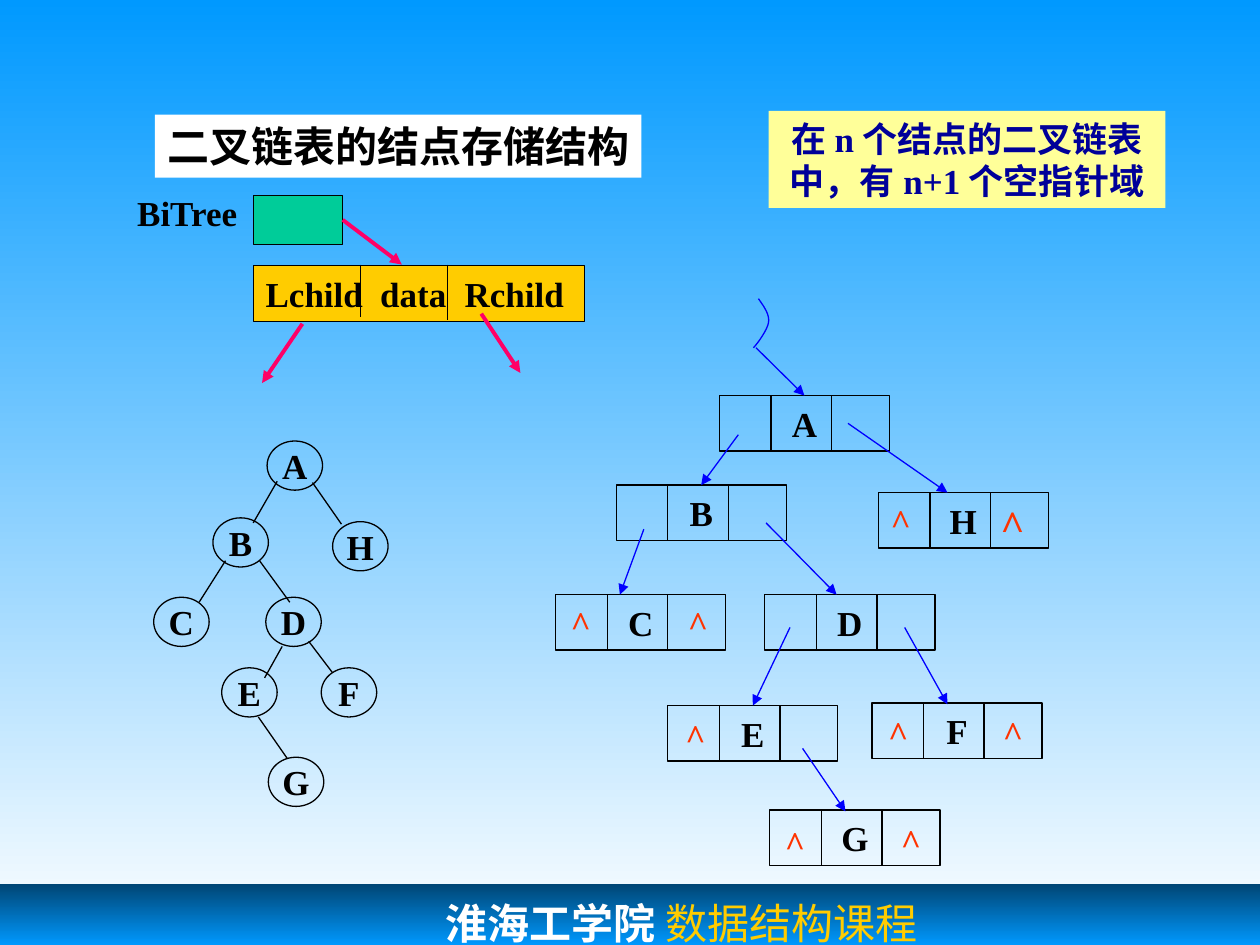
from copy import deepcopy
from dataclasses import dataclass

from lxml import etree
from pptx import Presentation
from pptx.dml.color import RGBColor
from pptx.enum.shapes import MSO_CONNECTOR, MSO_SHAPE
from pptx.enum.text import MSO_ANCHOR, MSO_AUTO_SIZE, PP_ALIGN
from pptx.oxml.ns import qn
from pptx.util import Inches, Pt

RECT, OVAL = MSO_SHAPE.RECTANGLE, MSO_SHAPE.OVAL
STRAIGHT = MSO_CONNECTOR.STRAIGHT
LEFT, CENTER = PP_ALIGN.LEFT, PP_ALIGN.CENTER
TOP, MIDDLE = MSO_ANCHOR.TOP, MSO_ANCHOR.MIDDLE
NO_FIT = MSO_AUTO_SIZE.NONE
FONT = "Times New Roman"
MONO = "DejaVu Sans Mono"
COLORS = {
    "sky": "0099FF", "white": "FFFFFF", "deep": "004675", "gold": "FFCC00",
    "black": "000000", "navy": "000099", "cream": "FFFF99", "blue": "0000FF",
    "red": "FF3300", "pink": "FF0066", "green": "00CC99",
}

deck = Presentation()
deck.slide_width, deck.slide_height = Inches(10), Inches(7.5)
COLUMN = deck.slide_width / 100
ROW = deck.slide_height / 75
page = deck.slides.add_slide(deck.slide_layouts[5])


@dataclass(frozen=True)
class Area:
    col: float
    row: float
    cols: float
    rows: float

    def emu(self) -> tuple:
        return (round(self.col * COLUMN), round(self.row * ROW),
                round(self.cols * COLUMN), round(self.rows * ROW))


@dataclass(frozen=True)
class Link:
    col: float
    row: float
    end_col: float
    end_row: float
    target: str = ""


@dataclass(frozen=True)
class Mark:
    name: str
    col: float
    row: float


@dataclass(frozen=True)
class Span:
    text: str
    color: str = "black"
    size: float = 20
    bold: bool = True
    font: str = FONT


def rgb(name: str) -> RGBColor:
    return RGBColor.from_string(COLORS[name])


def paint_gradient(fill, element, names: list[str]) -> None:
    fill.gradient()
    fill.gradient_angle = 270
    stop_list = next(element.iter(qn("a:gsLst")))
    while len(stop_list) < len(names):
        stop_list.append(deepcopy(stop_list[0]))
    for index, (stop, name) in enumerate(zip(fill.gradient_stops, names)):
        stop.color.rgb = rgb(name)
        stop.position = index / (len(names) - 1)


def write(box, spans: list[Span], align=CENTER, anchor=MIDDLE, wrap: bool = False):
    frame = box.text_frame
    frame.word_wrap = wrap
    frame.auto_size = NO_FIT
    frame.vertical_anchor = anchor
    para = frame.paragraphs[0]
    para.alignment = align
    for span in spans:
        run = para.add_run()
        run.text = span.text
        run.font.name, run.font.size, run.font.bold = span.font, Pt(span.size), span.bold
        run.font.color.rgb = rgb(span.color)
    return para


def draw_shape(kind, area: Area, fill: str = "", outline: str = "black"):
    shape = page.shapes.add_shape(kind, *area.emu())
    shape.shadow.inherit = False
    if fill:
        shape.fill.solid()
        shape.fill.fore_color.rgb = rgb(fill)
    else:
        shape.fill.background()
    if outline:
        shape.line.color.rgb = rgb(outline)
        shape.line.width = Pt(0.75)
    else:
        shape.line.fill.background()
    return shape


def draw_link(link: Link, color: str = "black", width: float = 0.75, arrow: bool = False):
    line = page.shapes.add_connector(
        STRAIGHT, round(link.col * COLUMN), round(link.row * ROW),
        round(link.end_col * COLUMN), round(link.end_row * ROW))
    line.line.color.rgb = rgb(color)
    line.line.width = Pt(width)
    if arrow:
        etree.SubElement(line.line._get_or_add_ln(), qn("a:tailEnd"), type="triangle")
    etree.SubElement(line._element.spPr, qn("a:effectLst"))
    return line


def draw_text(area: Area, span: Span, align=CENTER, anchor=MIDDLE) -> None:
    write(page.shapes.add_textbox(*area.emu()), [span], align, anchor)


def draw_record(mark: Mark):
    box = draw_shape(RECT, Area(mark.col, mark.row, 13.5, 4.4))
    write(box, [Span(mark.name)])
    for offset in (4.1, 8.9):
        col = mark.col + offset
        draw_link(Link(col, mark.row, col, mark.row + 4.4))
    return box


def draw_curve(points: list[tuple], steps: int = 12) -> None:
    path = [points[0]]
    for first in range(0, len(points) - 1, 3):
        a, b, c, d = points[first:first + 4]
        for step in range(1, steps + 1):
            t = step / steps
            u = 1 - t
            path.append(tuple(u**3 * a[i] + 3 * u * u * t * b[i]
                              + 3 * u * t * t * c[i] + t**3 * d[i] for i in (0, 1)))
    spots = [(round(x * COLUMN), round(y * ROW)) for x, y in path]
    builder = page.shapes.build_freeform(*spots[0])
    builder.add_line_segments(spots[1:], close=False)
    curve = builder.convert_to_shape()
    curve.shadow.inherit = False
    curve.fill.background()
    curve.line.color.rgb = rgb("blue")
    curve.line.width = Pt(0.75)


paint_gradient(page.background.fill, page._element, ["sky", "white"])
footer = draw_shape(RECT, Area(0, 70.2, 100, 9.7), outline="")
paint_gradient(footer.fill, footer._element, ["deep", "sky", "deep"])
footer_para = write(footer, [Span("淮海工学院", "white", 24, font=MONO),
                             Span(" 数据结构课程", "gold", 24, False)], LEFT, TOP, True)
footer_para._p.get_or_add_pPr().set("marL", str(Inches(3.44)))
footer.text_frame.margin_top = Inches(0.1)

title = page.shapes.title
title.left, title.top, title.width, title.height = Area(12.3, 9.1, 38.6, 5).emu()
title.fill.solid()
title.fill.fore_color.rgb = rgb("white")
write(title, [Span("二叉链表的结点存储结构", size=24)], LEFT, TOP)
title.text_frame.margin_right = 0

note = draw_shape(RECT, Area(61, 8.8, 31.5, 7.7), "cream", "")
write(note, [Span("在n个结点的二叉链表中，有n+1个空指针域", "navy")], wrap=True)

layout_box = draw_shape(RECT, Area(20.1, 21.1, 26.3, 4.4), "gold")
layout_para = write(layout_box, [Span("Lchild\tdata\tRchild")], LEFT)
tab_list = etree.SubElement(layout_para._p.get_or_add_pPr(), qn("a:tabLst"))
for position in (0.91, 1.58):
    etree.SubElement(tab_list, qn("a:tab"), pos=str(Inches(position)), algn="l")
for col, bottom in ((28.6, 25.2), (35.5, 25.4)):
    draw_link(Link(col, 21, col, bottom))

draw_text(Area(9.9, 14.7, 10.2, 4.4), Span("BiTree"), LEFT, TOP)
root_box = draw_shape(RECT, Area(20.1, 15.5, 7.1, 3.9), "green")
pointers = [Link(27.2, 17.8, 31.9, 21), Link(24, 25.7, 20.8, 30.4),
            Link(38.2, 24.9, 41.3, 29.6)]
pointer_lines = [draw_link(link, "pink", 2.25, True) for link in pointers]
pointer_lines[0].begin_connect(root_box, 3)

NODES = [Mark("A", 21.2, 35), Mark("B", 16.9, 41.1), Mark("C", 12.2, 47.4),
         Mark("D", 21.1, 47.4), Mark("E", 17.6, 53), Mark("F", 25.5, 53),
         Mark("G", 21.3, 60.1), Mark("H", 26.4, 41.4)]
for node in NODES:
    write(draw_shape(OVAL, Area(node.col, node.row, 4.4, 3.9)), [Span(node.name)])
EDGES = [Link(22, 38.2, 20.1, 41.5), Link(17.9, 44.5, 15.8, 47.8),
         Link(20.6, 44.5, 23, 47.8), Link(22.4, 51.3, 21, 53.8),
         Link(24.5, 50.9, 26.4, 53.4), Link(20.5, 56.9, 22.8, 60.2),
         Link(24.8, 38.3, 27.1, 41.6)]
for edge in EDGES:
    draw_link(edge)

RECORDS = [Mark("A", 57.1, 31.4), Mark("B", 48.9, 38.5), Mark("C", 44.1, 47.2),
           Mark("D", 60.7, 47.2), Mark("E", 53, 56), Mark("F", 69.2, 55.8),
           Mark("G", 61.1, 64.3), Mark("H", 69.7, 39.1)]
records = {mark.name: draw_record(mark) for mark in RECORDS}
draw_curve([(60.2, 23.7), (60.6, 24.3), (61.1, 24.9), (61, 25.6),
            (60.9, 26.2), (60.1, 27.3), (59.8, 27.6)])
ARROWS = [Link(60, 27.6, 63.5, 31.4, "A"), Link(58.6, 34.5, 56.1, 38.6, "B"),
          Link(51.1, 42, 49.2, 47.2), Link(60.8, 41.5, 66.4, 47.2),
          Link(62.7, 49.8, 59.6, 55.9, "E"), Link(71.8, 49.8, 75.2, 55.9),
          Link(63.7, 59.4, 67.1, 64.4), Link(67.3, 33.6, 75.2, 39.1)]
for link in ARROWS:
    arrow_line = draw_link(link, "blue", arrow=True)
    if link.target:
        arrow_line.end_connect(records[link.target], 0)

CARETS = [(44.3, 47.2), (53.6, 47.2), (53.4, 56.2), (69.5, 55.9), (78.6, 55.9),
          (61.3, 64.7), (70.5, 64.5), (69.7, 39.1)]
for col, row in CARETS:
    draw_text(Area(col, row, 3.6, 4.4), Span("^", "red"))
draw_text(Area(78.4, 39.1, 3.9, 5), Span("^", "red", 24), LEFT, TOP)

deck.save("out.pptx")
